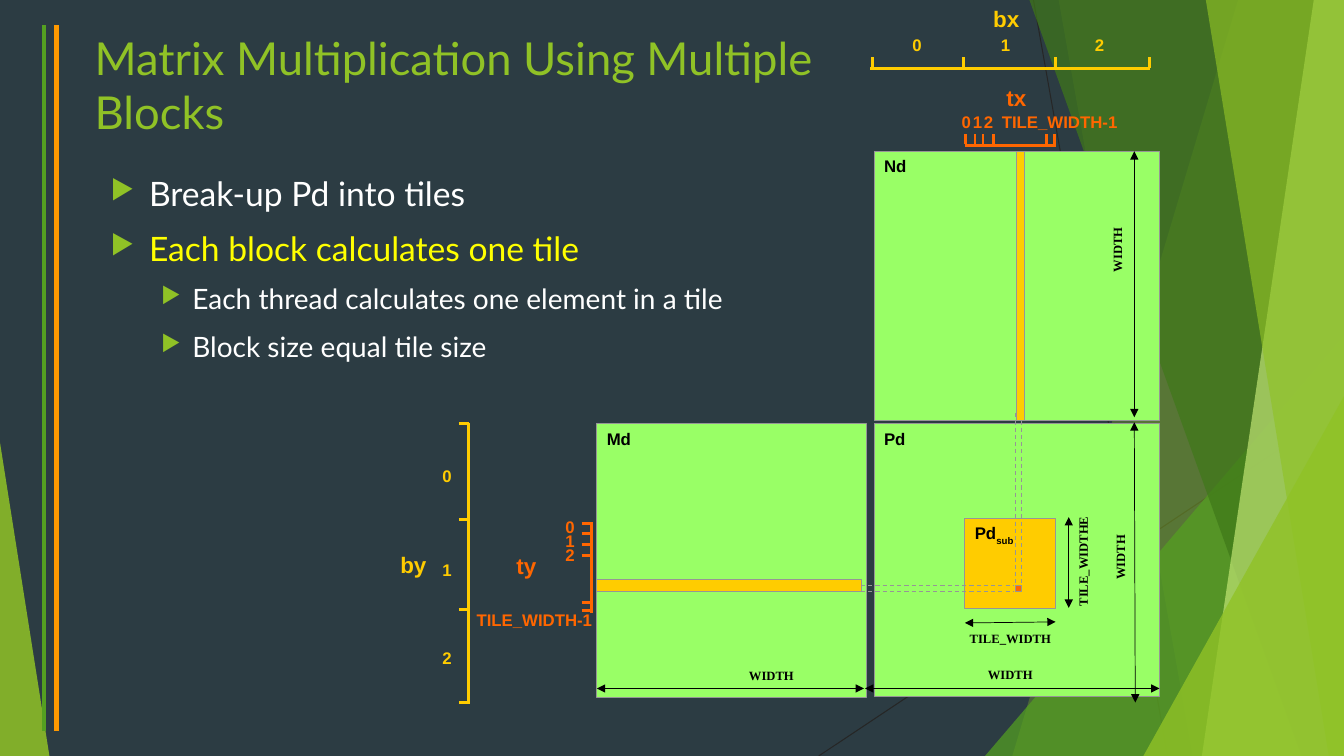
from dataclasses import dataclass
from typing import Any

from lxml.etree import SubElement
from pptx import Presentation
from pptx.dml.color import RGBColor
from pptx.enum.dml import MSO_LINE_DASH_STYLE as Dash
from pptx.enum.shapes import MSO_CONNECTOR_TYPE as Connector, MSO_SHAPE as Preset
from pptx.enum.text import MSO_ANCHOR as Anchor, MSO_AUTO_SIZE as AutoSize, PP_ALIGN as Align
from pptx.oxml.ns import qn
from pptx.util import Inches, Pt

SLATE = RGBColor(0x2C, 0x3C, 0x43)
LIME = RGBColor(0x90, 0xC2, 0x26)
GREEN = RGBColor(0x54, 0xA0, 0x21)
FOREST = RGBColor(0x3F, 0x78, 0x19)
PALE_LIME = RGBColor(0xC0, 0xE4, 0x74)
CHARCOAL = RGBColor(0x26, 0x26, 0x26)
AMBER = RGBColor(0xFF, 0x99, 0x00)
MATRIX_GREEN = RGBColor(0x99, 0xFF, 0x66)
GOLD = RGBColor(0xFF, 0xCC, 0x00)
ORANGE = RGBColor(0xFF, 0x66, 0x00)
GRAY = RGBColor(0x96, 0x96, 0x96)
YELLOW = RGBColor(0xFF, 0xFF, 0x00)
WHITE = RGBColor(0xFF, 0xFF, 0xFF)
BLACK = RGBColor(0x00, 0x00, 0x00)

Frame = tuple[float, float, float, float]


@dataclass
class Facet:
    points: list[tuple[float, float]]
    color: RGBColor
    opacity: int


@dataclass
class Triangle:
    frame: Frame
    apex: float
    color: RGBColor
    opacity: int


@dataclass
class Line:
    start: tuple[float, float]
    end: tuple[float, float]
    color: RGBColor = BLACK
    width: float = 0.5
    dashed: bool = False
    arrows: bool = False


@dataclass
class Block:
    frame: Frame
    fill: RGBColor
    name: str = ""
    subscript: str = ""


@dataclass
class Label:
    text: str
    center: tuple[float, float]
    size: tuple[float, float]
    points: float
    color: RGBColor
    font: str = "Arial"
    inset: bool = True
    rotation: int = 0


@dataclass
class Ruler:
    color: RGBColor
    start: tuple[float, float]
    end: tuple[float, float]
    ticks: list[float]


@dataclass
class Bullet:
    text: str
    color: RGBColor
    points: float
    margin: float
    hang: float
    level: int = 0


def apply(target: Any, values: dict[str, Any]) -> None:
    for name, value in values.items():
        setattr(target, name, value)


def add_span(para: Any, text: str, font: str, points: float, color: RGBColor, bold: bool = False) -> Any:
    span = para.add_run()
    span.text = text
    apply(span.font, {"name": font, "size": Pt(points), "bold": bold})
    span.font.color.rgb = color
    return span


def paint(shape: Any, color: RGBColor, opacity: int = 100) -> None:
    shape.shadow.inherit = False
    shape.fill.solid()
    shape.fill.fore_color.rgb = color
    if opacity < 100:
        tint = shape.fill._xPr.find(qn("a:solidFill"))[0]
        SubElement(tint, qn("a:alpha")).set("val", str(opacity * 1000))


def draw_facet(page: Any, facet: Facet) -> None:
    corners = [(Inches(x), Inches(y)) for x, y in facet.points]
    builder = page.shapes.build_freeform(*corners[0])
    builder.add_line_segments(corners[1:], close=True)
    shape = builder.convert_to_shape()
    paint(shape, facet.color, facet.opacity)
    shape.line.fill.background()


def draw_triangle(page: Any, triangle: Triangle) -> None:
    shape = page.shapes.add_shape(Preset.ISOSCELES_TRIANGLE, *map(Inches, triangle.frame))
    shape.adjustments[0] = triangle.apex
    paint(shape, triangle.color, triangle.opacity)
    shape.line.fill.background()


def draw_line(page: Any, line: Line) -> None:
    shape = page.shapes.add_connector(Connector.STRAIGHT, *map(Inches, line.start + line.end))
    shape.line.color.rgb = line.color
    shape.line.width = Pt(line.width)
    if line.dashed:
        shape.line.dash_style = Dash.DASH
    if line.arrows:
        for end in ("a:headEnd", "a:tailEnd"):
            SubElement(shape.line._get_or_add_ln(), qn(end)).set("type", "triangle")
    SubElement(shape._element.spPr, qn("a:effectLst"))


def draw_block(page: Any, block: Block) -> None:
    shape = page.shapes.add_shape(Preset.RECTANGLE, *map(Inches, block.frame))
    paint(shape, block.fill)
    shape.line.color.rgb = GRAY
    shape.line.width = Pt(0.75)
    if block.name:
        shape.text_frame.vertical_anchor = Anchor.TOP
        para = shape.text_frame.paragraphs[0]
        para.alignment = Align.LEFT
        add_span(para, block.name, "Arial", 12, BLACK, True)
        if block.subscript:
            span = add_span(para, block.subscript, "Arial", 12, BLACK, True)
            span.font._element.set("baseline", "-25000")


def draw_label(page: Any, label: Label) -> None:
    (x, y), (width, height) = label.center, label.size
    box = page.shapes.add_textbox(*map(Inches, (x - width / 2, y - height / 2, width, height)))
    box.rotation = label.rotation
    apply(box.text_frame, {"word_wrap": False, "auto_size": AutoSize.SHAPE_TO_FIT_TEXT})
    if not label.inset:
        apply(box.text_frame, {f"margin_{side}": 0 for side in ("left", "top", "right", "bottom")})
    para = box.text_frame.paragraphs[0]
    para.alignment = Align.CENTER
    add_span(para, label.text, label.font, label.points, label.color, True)


def draw_ruler(page: Any, ruler: Ruler) -> None:
    draw_line(page, Line(ruler.start, ruler.end, ruler.color, 2))
    x, y = ruler.start
    for tick in ruler.ticks:
        ends = ((tick, y - 0.11), (tick, y - 0.01)) if y == ruler.end[1] else ((x - 0.1, tick), (x, tick))
        draw_line(page, Line(*ends, ruler.color, 2))


def draw_bullets(page: Any, frame: Frame, bullets: list[Bullet]) -> None:
    box = page.shapes.add_textbox(*map(Inches, frame))
    box.text_frame.word_wrap = True
    for index, bullet in enumerate(bullets):
        para = box.text_frame.add_paragraph() if index else box.text_frame.paragraphs[0]
        apply(para, {"level": bullet.level, "space_before": Pt(10 if index else 0)})
        props = para._p.get_or_add_pPr()
        props.set("marL", str(Inches(bullet.margin)))
        props.set("indent", str(-Inches(bullet.hang)))
        SubElement(SubElement(props, qn("a:buClr")), qn("a:srgbClr")).set("val", str(LIME))
        SubElement(props, qn("a:buSzPct")).set("val", "80000")
        SubElement(props, qn("a:buChar")).set("char", "▶")
        add_span(para, bullet.text, "Lato", bullet.points, bullet.color)


def index_label(text: str, x: float, y: float, color: RGBColor) -> Label:
    return Label(text, (x, y), (0.26, 0.3), 12, color)


def axis_label(text: str, x: float, y: float, color: RGBColor) -> Label:
    return Label(text, (x, y), (0.46, 0.37), 16, color)


def size_label(text: str, x: float, y: float, width: float = 0.45, rotation: int = 0) -> Label:
    return Label(text, (x, y), (width, 0.15), 9, BLACK, "Times New Roman", False, rotation)


def right_facet(top: float, bottom: float, color: RGBColor, opacity: int) -> Facet:
    return Facet([(top, 0), (13.33, 0), (13.33, 7.5), (bottom, 7.5)], color, opacity)


# Backdrop, from back to front
BACKDROP = [
    Line((10.25, 0), (11.58, 7.5), CHARCOAL, 0.75), Line((13.33, 4.03), (8.12, 7.5), CHARCOAL, 0.75),
    right_facet(12.28, 10.04, LIME, 30), right_facet(10.5, 11.83, LIME, 20),
    Triangle((9.77, 3.33, 3.56, 4.17), 1, GREEN, 72),
    right_facet(10.21, 12.91, FOREST, 70), right_facet(13.03, 11.92, PALE_LIME, 70),
    right_facet(11.96, 13.18, LIME, 65),
    Triangle((11.34, 3.93, 1.99, 3.57), 1, LIME, 80), Triangle((0, 4.39, 0.49, 3.11), 0, LIME, 85),
    Line((0.44, 0.25), (0.44, 7.25), GREEN, 3), Line((0.56, 0.25), (0.56, 7.25), AMBER, 3),
]
BULLETS = [
    Bullet("Break-up Pd into tiles", WHITE, 24, 0.38, 0.38),
    Bullet("Each block calculates one tile", YELLOW, 24, 0.38, 0.38),
    Bullet("Each thread calculates one element in a tile", WHITE, 20, 0.81, 0.31, 1),
    Bullet("Block size equal tile size", WHITE, 20, 0.81, 0.31, 1),
]
# Matrices, guides, dimensions and index rulers
DIAGRAM = [
    Block((5.92, 4.2, 2.67, 2.72), MATRIX_GREEN, "Md"), Block((8.67, 1.5, 2.83, 2.67), MATRIX_GREEN, "Nd"),
    Block((8.67, 4.2, 2.83, 2.71), MATRIX_GREEN, "Pd"), Block((9.57, 5.14, 0.9, 0.9), GOLD, "Pd", "sub"),
    *[Line((x, 4.1), (x, 5.81), GRAY, 0.75, dashed=True) for x in (10.07, 10.13)],
    Block((10.07, 5.81, 0.06, 0.06), ORANGE),
    *[Line((8.54, y), (10.05, y), GRAY, 0.75, dashed=True) for y in (5.81, 5.87)],
    *[Line(start, end, arrows=True) for start, end in (
        ((11.25, 4.19), (11.26, 6.97)), ((11.5, 6.83), (8.58, 6.83)), ((10.6, 5.13), (10.6, 6.03)),
        ((9.57, 6.18), (10.47, 6.17)), ((5.92, 6.83), (8.57, 6.83)), ((11.25, 4.14), (11.25, 1.5)))],
    size_label("TILE_WIDTH", 10.02, 6.33, 0.81), size_label("WIDTH", 10.02, 6.69), size_label("WIDTH", 7.65, 6.7),
    size_label("TILE_WIDTHE", 10.74, 5.57, 0.9, 270),
    size_label("WIDTH", 11.11, 5.53, rotation=270), size_label("WIDTH", 11.08, 2.48, rotation=270),
    Ruler(GOLD, (8.63, 0.68), (11.41, 0.68), [8.65, 9.56, 10.47, 11.4]),
    Ruler(ORANGE, (9.57, 1.44), (10.47, 1.44), [9.58, 9.67, 9.75, 9.85, 10.38, 10.46]),
    Ruler(GOLD, (4.65, 6.98), (4.65, 4.2), [4.2, 5.15, 6.05, 6.97]),
    Ruler(ORANGE, (5.87, 6.08), (5.87, 5.18), [5.19, 5.29, 5.4, 5.51, 5.98, 6.06]),
    axis_label("bx", 9.98, 0.19, GOLD), axis_label("tx", 10.08, 0.97, ORANGE),
    axis_label("by", 4.1, 5.6, GOLD), axis_label("ty", 5.22, 5.61, ORANGE),
    *[index_label(str(i), x, 0.45, GOLD) for i, x in enumerate((9.08, 9.96, 10.89))],
    *[index_label(str(i), 9.57 + 0.11 * i, 1.21, ORANGE) for i in range(3)],
    *[index_label(str(i), 4.42, y, GOLD) for i, y in enumerate((4.72, 5.65, 6.53))],
    *[index_label(str(i), 5.64, 5.23 + 0.14 * i, ORANGE) for i in range(3)],
    *[Label("TILE_WIDTH-1", center, (1.35, 0.3), 12, ORANGE) for center in ((10.51, 1.21), (5.3, 6.15))],
    Block((5.92, 5.75, 2.62, 0.12), GOLD), Block((10.08, 1.5, 0.08, 2.67), GOLD),
]
DRAWERS = {Facet: draw_facet, Triangle: draw_triangle, Line: draw_line, Block: draw_block,
           Label: draw_label, Ruler: draw_ruler}


def main() -> None:
    deck = Presentation()
    apply(deck, {"slide_width": Inches(13.33), "slide_height": Inches(7.5)})
    page = deck.slides.add_slide(deck.slide_layouts[6])
    page.background.fill.solid()
    page.background.fill.fore_color.rgb = SLATE
    for part in BACKDROP:
        DRAWERS[type(part)](page, part)
    # Title and bullets
    title = page.shapes.add_textbox(*map(Inches, (0.84, 0.25, 8.08, 1.25)))
    title.text_frame.word_wrap = True
    add_span(title.text_frame.paragraphs[0], "Matrix Multiplication Using Multiple Blocks", "Lato", 32.4, LIME)
    draw_bullets(page, (1, 1.67, 7.3, 5), BULLETS)
    for part in DIAGRAM:
        DRAWERS[type(part)](page, part)
    deck.save("out.pptx")


if __name__ == "__main__":
    main()
